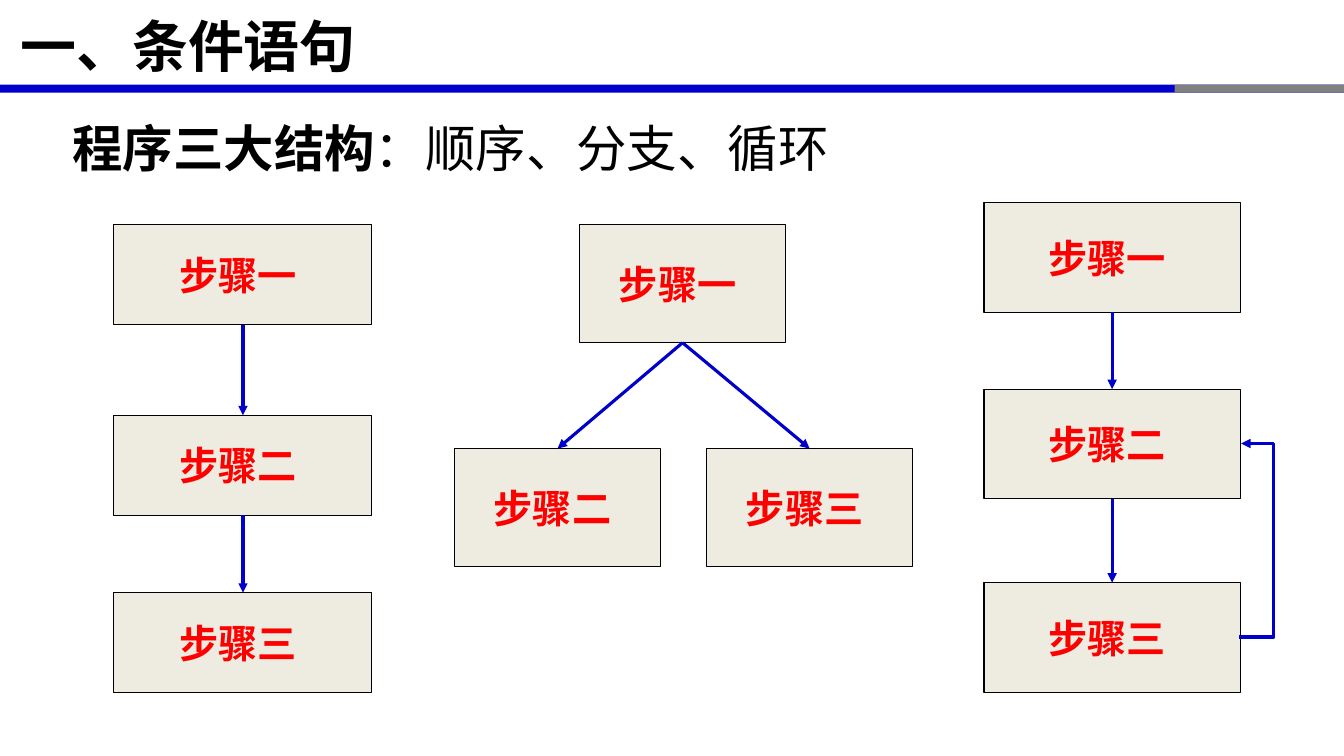
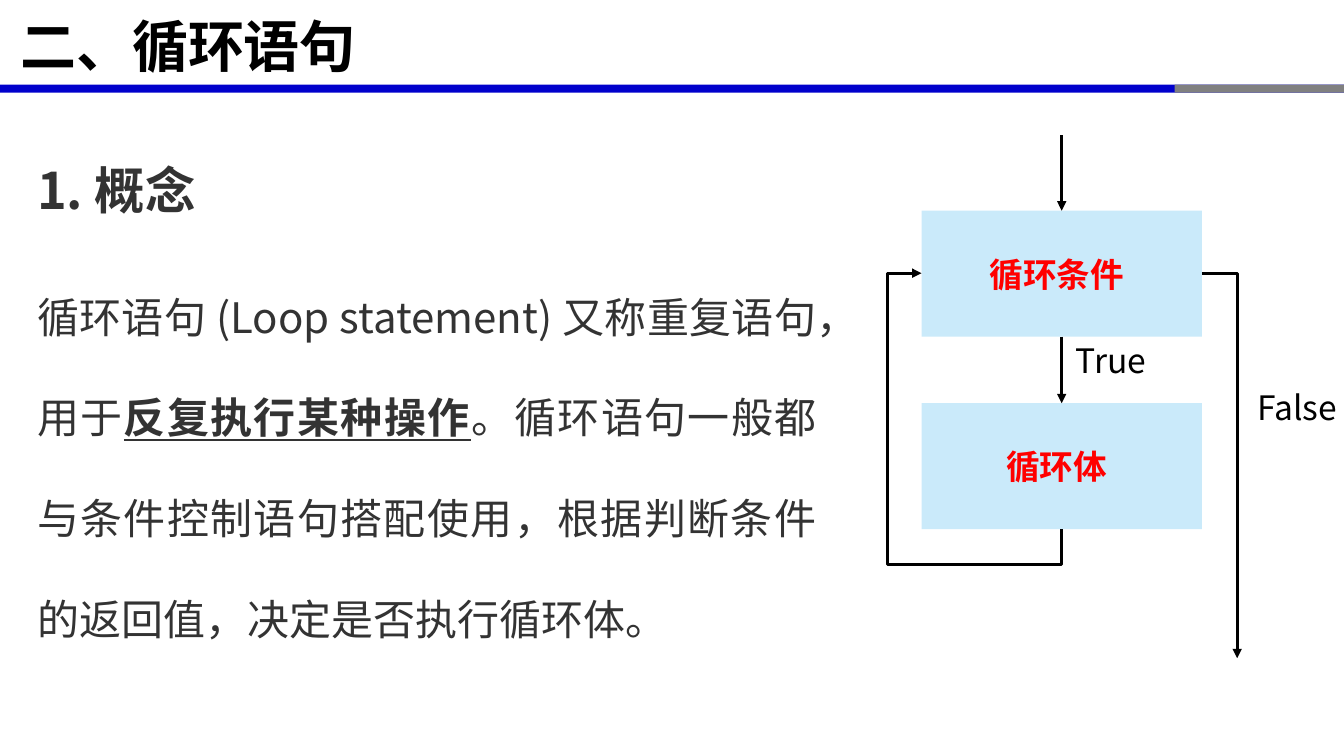
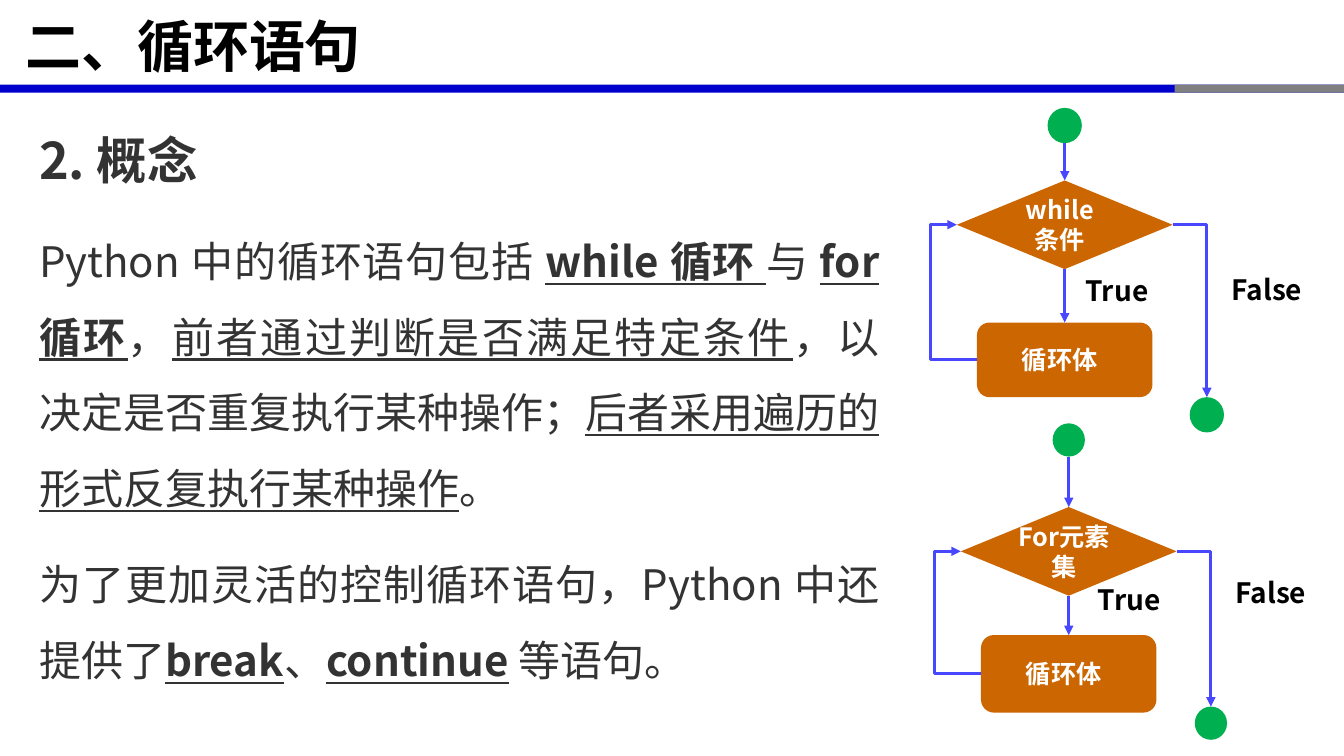
import pptx
import pptx.dml.color
import pptx.enum.shapes
import pptx.enum.text
import pptx.oxml.ns
import pptx.util
from lxml import etree

Inches = pptx.util.Inches
ShapeType = pptx.enum.shapes.MSO_SHAPE
ConnectorType = pptx.enum.shapes.MSO_CONNECTOR
Align = pptx.enum.text.PP_ALIGN
Anchor = pptx.enum.text.MSO_ANCHOR
AutoSize = pptx.enum.text.MSO_AUTO_SIZE
qn = pptx.oxml.ns.qn

# Shared style
FONT = "Noto Sans CJK SC"
BLACK, WHITE, RED, INK = "000000", "FFFFFF", "FF0000", "333333"
BLUE, GRAY, VIOLET = "0000CC", "808080", "4747FF"
CREAM, SKY, ORANGE, GREEN = "EEECE1", "CAEAFA", "CC6600", "00B050"
LINE_WIDTH = 2.25


def rgb(value):
    return pptx.dml.color.RGBColor.from_string(value)


# Text
def format_run(run, size, color, bold=False, underline=False):
    font = run.font
    font.size = pptx.util.Pt(size)
    font.name = FONT
    font.bold = bold
    font.underline = underline
    font.color.rgb = rgb(color)
    etree.SubElement(font.fill._xPr, qn("a:ea")).set("typeface", FONT)


def format_paragraph(paragraph, align, line_spacing=None):
    """Align a paragraph and put half a line of space before it."""
    paragraph.alignment = align
    if line_spacing:
        paragraph.line_spacing = line_spacing
    space = etree.SubElement(paragraph._p.get_or_add_pPr(), qn("a:spcBef"))
    etree.SubElement(space, qn("a:spcPct")).set("val", "50000")


def add_text(slide, box, paragraphs, color=BLACK, align=Align.JUSTIFY,
             line_spacing=None, wrap=True):
    """Each paragraph is (size, runs); a run is (text, flags), flags from 'bu'."""
    shape = slide.shapes.add_textbox(*map(Inches, box))
    frame = shape.text_frame
    frame.word_wrap = wrap
    frame.auto_size = AutoSize.SHAPE_TO_FIT_TEXT
    for index, (size, runs) in enumerate(paragraphs):
        paragraph = frame.add_paragraph() if index else frame.paragraphs[0]
        format_paragraph(paragraph, align, line_spacing)
        for text, flags in runs:
            run = paragraph.add_run()
            run.text = text
            format_run(run, size, color, "b" in flags, "u" in flags)


# Shapes
def add_node(slide, kind, box, fill, text="", size=18, color=WHITE, outline=None):
    shape = slide.shapes.add_shape(kind, *map(Inches, box))
    shape.shadow.inherit = False
    shape.fill.solid()
    shape.fill.fore_color.rgb = rgb(fill)
    if outline:
        shape.line.color.rgb = rgb(outline)
        shape.line.width = pptx.util.Pt(0.75)
    else:
        shape.line.fill.background()
    if text:
        frame = shape.text_frame
        frame.margin_left = 0
        frame.vertical_anchor = Anchor.MIDDLE
        frame.text = text
        format_paragraph(frame.paragraphs[0], Align.CENTER)
        format_run(frame.paragraphs[0].runs[0], size, color, bold=True)
    return shape


# Connectors
def add_connector(slide, kind, start, end, color):
    connector = slide.shapes.add_connector(kind, *map(Inches, (*start, *end)))
    connector.line.color.rgb = rgb(color)
    connector.line.width = pptx.util.Pt(LINE_WIDTH)
    etree.SubElement(connector.line._get_or_add_ln(), qn("a:tailEnd")).set("type", "triangle")
    etree.SubElement(connector._element.spPr, qn("a:effectLst"))
    return connector


def add_arrow(slide, start, target, color):
    """Arrow to the top of target, from a point or from the bottom of a box."""
    from_point = isinstance(start, tuple)
    point = start if from_point else (0, 0)
    arrow = add_connector(slide, ConnectorType.STRAIGHT, point, (0, 0), color)
    if not from_point:
        arrow.begin_connect(start, 2)
    arrow.end_connect(target, 0)


def set_bends(connector, preset, *adjustments):
    geometry = connector._element.spPr.find(qn("a:prstGeom"))
    geometry.set("prst", preset)
    values = geometry.find(qn("a:avLst"))
    if values is None:
        values = etree.SubElement(geometry, qn("a:avLst"))
    for number, value in enumerate(adjustments, 1):
        guide = etree.SubElement(values, qn("a:gd"))
        guide.set("name", f"adj{number}")
        guide.set("fmla", f"val {round(value * 100000)}")


def add_corner(slide, start, end, color):
    """Sideways, then down."""
    connector = add_connector(slide, ConnectorType.ELBOW, start, end, color)
    set_bends(connector, "bentConnector2")


def add_side_loop(slide, start, end, via_x, color):
    """Out to via_x, up, and back."""
    connector = add_connector(slide, ConnectorType.ELBOW, start, end, color)
    set_bends(connector, "bentConnector3", (via_x - start[0]) / (end[0] - start[0]))


def add_bottom_loop(slide, start, end, via_x, via_y, color):
    """Down to via_y, left to via_x, up, and right to the end."""
    (x0, y0), (x1, y1) = start, end
    center_x, center_y = (x0 + x1) / 2, (y0 + y1) / 2
    half_width, half_height = abs(y1 - y0) / 2, abs(x1 - x0) / 2
    connector = add_connector(slide, ConnectorType.ELBOW,
                              (center_x + half_width, center_y - half_height),
                              (center_x - half_width, center_y + half_height), color)
    connector._element.spPr.find(qn("a:xfrm")).set("rot", "5400000")
    set_bends(connector, "bentConnector4",
              (via_y - y0) / (y1 - y0), (via_x - x0) / (x1 - x0))


# Slide frame
def add_bands(layout, slide):
    """Draw the title bands and keep them in the layout."""
    for placeholder in list(layout.placeholders):
        if placeholder.placeholder_format.idx:
            layout.shapes.element.remove(placeholder._element)
    for left, width, color in ((0, 13.33, BLUE), (11.65, 1.68, GRAY)):
        band = add_node(slide, ShapeType.RECTANGLE, (left, 0.84, width, 0.08), color)
        layout.shapes.element.append(band._element)


def add_slide(presentation, title, left=0):
    slide = presentation.slides.add_slide(presentation.slide_layouts[5])
    shape = slide.shapes.title
    shape.left, shape.top, shape.width, shape.height = map(
        Inches, (left, 0.01, 11.52 - left, 0.87))
    frame = shape.text_frame
    frame.text = title
    frame.auto_size = AutoSize.NONE
    frame.vertical_anchor = Anchor.MIDDLE
    paragraph = frame.paragraphs[0]
    paragraph.alignment = Align.LEFT
    paragraph._p.get_or_add_pPr().set("indent", str(Inches(0.1)))
    format_run(paragraph.runs[0], 40, BLACK, bold=True)
    return slide


# Slide 1: three program structures
def add_steps(slide, places, width, height, links):
    names = ("步骤一", "步骤二", "步骤三")
    boxes = [add_node(slide, ShapeType.RECTANGLE, (left, top, width, height),
                      CREAM, name, 28, RED, BLACK)
             for name, (left, top) in zip(names, places)]
    for first, second in links:
        add_arrow(slide, boxes[first], boxes[second], BLUE)


def build_structures(slide):
    add_text(slide, (0.62, 1.11, 8.87, 0.71),
             [(36, [("程序三大结构", "b"), ("：顺序、分支、循环", "")])])
    chain, branch = ((0, 1), (1, 2)), ((0, 1), (0, 2))
    add_steps(slide, [(1.13, top) for top in (2.23, 4.12, 5.88)], 2.56, 0.99, chain)
    add_steps(slide, [(5.75, 2.23), (4.51, 4.45), (7.01, 4.45)], 2.04, 1.17, branch)
    add_steps(slide, [(9.76, top) for top in (2.01, 3.86, 5.78)], 2.54, 1.09, chain)
    add_side_loop(slide, (12.29, 6.32), (12.31, 4.4), 12.63, BLUE)


# Slide 2: the loop statement
def build_loop_concept(slide):
    add_text(slide, (0.27, 0.93, 7.93, 5.45), [
        (36, [("1. 概念", "b")]),
        (30, [("循环语句 (Loop statement) 又称重复语句，用于", ""),
              ("反复执行某种操作", "bu"),
              ("。循环语句一般都与条件控制语句搭配使用，根据判断条件的返回值，决定是否执行循环体。", "")]),
    ], INK, line_spacing=2.0)
    left, width, height = 9.14, 2.78, 1.25
    condition_top, body_top = 2.09, 4
    center, middle = left + width / 2, 2.71
    condition, body = (
        add_node(slide, ShapeType.RECTANGLE, (left, top, width, height), SKY, text, 24, RED)
        for top, text in ((condition_top, "循环条件"), (body_top, "循环体")))
    add_arrow(slide, condition, body, BLACK)
    add_arrow(slide, (center, 1.34), condition, BLACK)
    add_corner(slide, (left + width, middle), (12.27, 6.53), BLACK)
    add_bottom_loop(slide, (center, body_top + height), (left, middle), 8.8, 5.6, BLACK)
    add_text(slide, (12.26, 3.79, 1.21, 0.71), [(24, [("False", "")])],
             align=Align.CENTER, wrap=False)
    add_text(slide, (10.57, 3.32, 1.39, 0.71), [(24, [("True", "")])], align=Align.LEFT)


# Slide 3: while and for
def add_loop_chart(slide, condition, center, tops, dot, body_height, true_at, false_top):
    start_top, diamond_top, body_top, end_top = tops
    dot_width, dot_height = dot
    diamond_width, diamond_height, body_width = 2.14, 0.88, 1.74
    exit_x = center + 1.41
    middle = diamond_top + diamond_height / 2
    for x, top in ((center, start_top), (exit_x, end_top)):
        add_node(slide, ShapeType.OVAL, (x - dot_width / 2, top, dot_width, dot_height), GREEN)
    diamond = add_node(slide, ShapeType.DIAMOND,
                       (center - diamond_width / 2, diamond_top, diamond_width, diamond_height),
                       ORANGE, condition)
    body = add_node(slide, ShapeType.ROUNDED_RECTANGLE,
                    (center - body_width / 2, body_top, body_width, body_height),
                    ORANGE, "循环体")
    add_arrow(slide, (center, start_top + dot_height), diamond, VIOLET)
    add_arrow(slide, diamond, body, VIOLET)
    add_side_loop(slide, (center - body_width / 2, body_top + body_height / 2),
                  (center - diamond_width / 2, middle), center - 1.33, VIOLET)
    add_corner(slide, (center + diamond_width / 2, middle), (exit_x, end_top), VIOLET)
    add_text(slide, (*true_at, 0.84, 0.46), [(20, [("True", "b")])],
             align=Align.CENTER, wrap=False)
    add_text(slide, (exit_x, false_top, 1.19, 0.46), [(20, [("False", "b")])],
             align=Align.CENTER)


def build_loop_kinds(slide):
    add_text(slide, (0.29, 0.93, 8.53, 5.97), [
        (36, [("2. 概念", "b")]),
        (30, [("Python 中的循环语句包括 ", ""), ("while 循环 ", "bu"), ("与 ", ""),
              ("for 循环", "bu"), ("，", ""), ("前者通过判断是否满足特定条件", "u"),
              ("，以决定是否重复执行某种操作；", ""),
              ("后者采用遍历的形式反复执行某种操作", "u"), ("。", "")]),
        (30, [("为了更加灵活的控制循环语句，Python 中还提供了", ""), ("break", "bu"),
              ("、", ""), ("continue", "bu"), (" 等语句。", "")]),
    ], INK, line_spacing=1.5)
    add_loop_chart(slide, "For元素集", 10.6, (4.2, 5.03, 6.3, 7.01), (0.32, 0.33),
                   0.77, (10.78, 5.73), 5.66)
    add_loop_chart(slide, "while 条件", 10.56, (1.07, 1.79, 3.2, 3.94), (0.34, 0.35),
                   0.74, (10.66, 2.66), 2.65)


def main():
    presentation = pptx.Presentation()
    presentation.slide_width = Inches(13.33)
    presentation.slide_height = Inches(7.5)
    structures = add_slide(presentation, "一、条件语句")
    add_bands(structures.slide_layout, structures)
    build_structures(structures)
    build_loop_concept(add_slide(presentation, "二、循环语句"))
    build_loop_kinds(add_slide(presentation, "二、循环语句", left=0.05))
    presentation.save("out.pptx")


if __name__ == "__main__":
    main()
